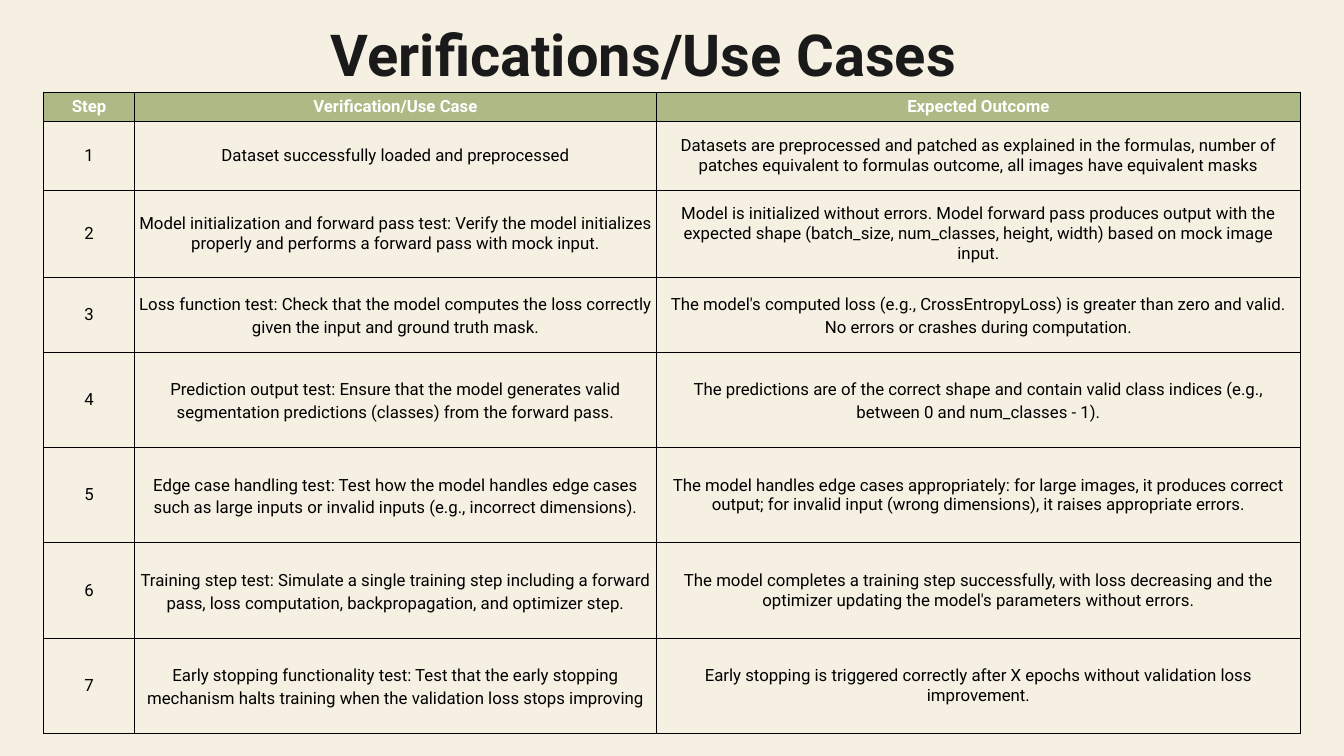
from dataclasses import dataclass

from lxml import etree
from pptx import Presentation
from pptx.dml.color import RGBColor
from pptx.enum.text import MSO_ANCHOR, MSO_AUTO_SIZE, PP_ALIGN
from pptx.oxml.ns import qn
from pptx.util import Inches, Pt

CENTER = PP_ALIGN.CENTER
TOP, MIDDLE = MSO_ANCHOR.TOP, MSO_ANCHOR.MIDDLE
GROW = MSO_AUTO_SIZE.SHAPE_TO_FIT_TEXT

FONT = "Roboto"
CREAM = RGBColor(0xF5, 0xF0, 0xE2)
INK = RGBColor(0x1A, 0x1A, 0x1A)
SAGE = RGBColor(0xAD, 0xBA, 0x85)
WHITE = RGBColor(0xFF, 0xFF, 0xFF)
BLACK = RGBColor(0x00, 0x00, 0x00)

COLUMN_WIDTHS = (1.35, 7.77, 9.58)
HEADERS = ("Step", "Verification/Use Case", "Expected Outcome")
HEADER_HEIGHT = 0.28
CELL_MARGIN = Inches(0.07)
LOOSE = 1.15


@dataclass
class Check:
    use_case: str
    outcome: str
    height: float = 1.42
    case_spacing: float | None = LOOSE
    outcome_spacing: float | None = None


CHECKS = (
    Check("Dataset successfully loaded and preprocessed",
          "Datasets are preprocessed and patched as explained in the formulas, number of "
          "patches equivalent to formulas outcome, all images have equivalent masks",
          height=1.02, case_spacing=None),
    Check("Model initialization and forward pass test: Verify the model initializes "
          "properly and performs a forward pass with mock input.",
          "Model is initialized without errors. Model forward pass produces output with the "
          "expected shape (batch_size, num_classes, height, width) based on mock image input.",
          height=1.3, case_spacing=None),
    Check("Loss function test: Check that the model computes the loss correctly "
          "given the input and ground truth mask.",
          "The model's computed loss (e.g., CrossEntropyLoss) is greater than zero and valid. "
          "No errors or crashes during computation.",
          height=1.11, outcome_spacing=LOOSE),
    Check("Prediction output test: Ensure that the model generates valid "
          "segmentation predictions (classes) from the forward pass.",
          "The predictions are of the correct shape and contain valid class indices (e.g., "
          "between 0 and num_classes - 1).",
          outcome_spacing=LOOSE),
    Check("Edge case handling test: Test how the model handles edge cases "
          "such as large inputs or invalid inputs (e.g., incorrect dimensions).",
          "The model handles edge cases appropriately: for large images, it produces correct "
          "output; for invalid input (wrong dimensions), it raises appropriate errors."),
    Check("Training step test: Simulate a single training step including a forward "
          "pass, loss computation, backpropagation, and optimizer step.",
          "The model completes a training step successfully, with loss decreasing and the "
          "optimizer updating the model's parameters without errors."),
    Check("Early stopping functionality test: Test that the early stopping "
          "mechanism halts training when the validation loss stops improving",
          "Early stopping is triggered correctly after X epochs without validation loss "
          "improvement."),
)


def format_paragraph(p, size: float, color: RGBColor, bold: bool,
                     spacing: float | None = None) -> None:
    p.alignment = CENTER
    if spacing:
        p.line_spacing = spacing
    p.font.name = FONT
    p.font.size = Pt(size)
    p.font.bold = bold
    p.font.color.rgb = color


def add_borders(cell) -> None:
    """Draw a 1 pt black line on all four sides; borders must precede the fill."""
    tc_pr = cell._tc.get_or_add_tcPr()
    for i, side in enumerate(("lnL", "lnR", "lnT", "lnB")):
        ln = etree.Element(qn(f"a:{side}"), w=str(Pt(1)))
        fill = etree.SubElement(ln, qn("a:solidFill"))
        etree.SubElement(fill, qn("a:srgbClr"), val=str(BLACK))
        tc_pr.insert(i, ln)


def fill_cell(cell, text: str, header: bool = False, spacing: float | None = None) -> None:
    cell.text = text
    cell.margin_left = cell.margin_right = CELL_MARGIN
    cell.margin_top = cell.margin_bottom = CELL_MARGIN
    cell.vertical_anchor = TOP if header else MIDDLE
    if header:
        cell.fill.solid()
        cell.fill.fore_color.rgb = SAGE
    else:
        cell.fill.background()
    add_borders(cell)
    format_paragraph(cell.text_frame.paragraphs[0], 18, WHITE if header else BLACK,
                     header, spacing)


def add_title(s, text: str) -> None:
    title = s.shapes.title
    title.left, title.top = Inches(3.28), Inches(0.22)
    title.width, title.height = Inches(12.6), Inches(1.04)
    tf = title.text_frame
    tf.text = text
    tf.word_wrap = True
    tf.auto_size = GROW
    tf.vertical_anchor = TOP
    tf.margin_left = tf.margin_right = tf.margin_top = tf.margin_bottom = 0
    format_paragraph(tf.paragraphs[0], 62, INK, True, 1.05)


def add_check_table(s) -> None:
    table = s.shapes.add_table(len(CHECKS) + 1, len(HEADERS), Inches(0.65), Inches(1.37),
                               Inches(18.71), Inches(9.54)).table
    table.horz_banding = False
    for column, width in zip(table.columns, COLUMN_WIDTHS):
        column.width = Inches(width)
    table.rows[0].height = Inches(HEADER_HEIGHT)
    for col, header in enumerate(HEADERS):
        fill_cell(table.cell(0, col), header, header=True)
    for step, check in enumerate(CHECKS, start=1):
        table.rows[step].height = Inches(check.height)
        fill_cell(table.cell(step, 0), str(step))
        fill_cell(table.cell(step, 1), check.use_case, spacing=check.case_spacing)
        fill_cell(table.cell(step, 2), check.outcome, spacing=check.outcome_spacing)


def main() -> None:
    prs = Presentation()
    prs.slide_width, prs.slide_height = Inches(20), Inches(11.25)
    s = prs.slides.add_slide(prs.slide_layouts[5])
    s.background.fill.solid()
    s.background.fill.fore_color.rgb = CREAM
    add_title(s, "Verifications/Use Cases")
    add_check_table(s)
    prs.save("out.pptx")


if __name__ == "__main__":
    main()
